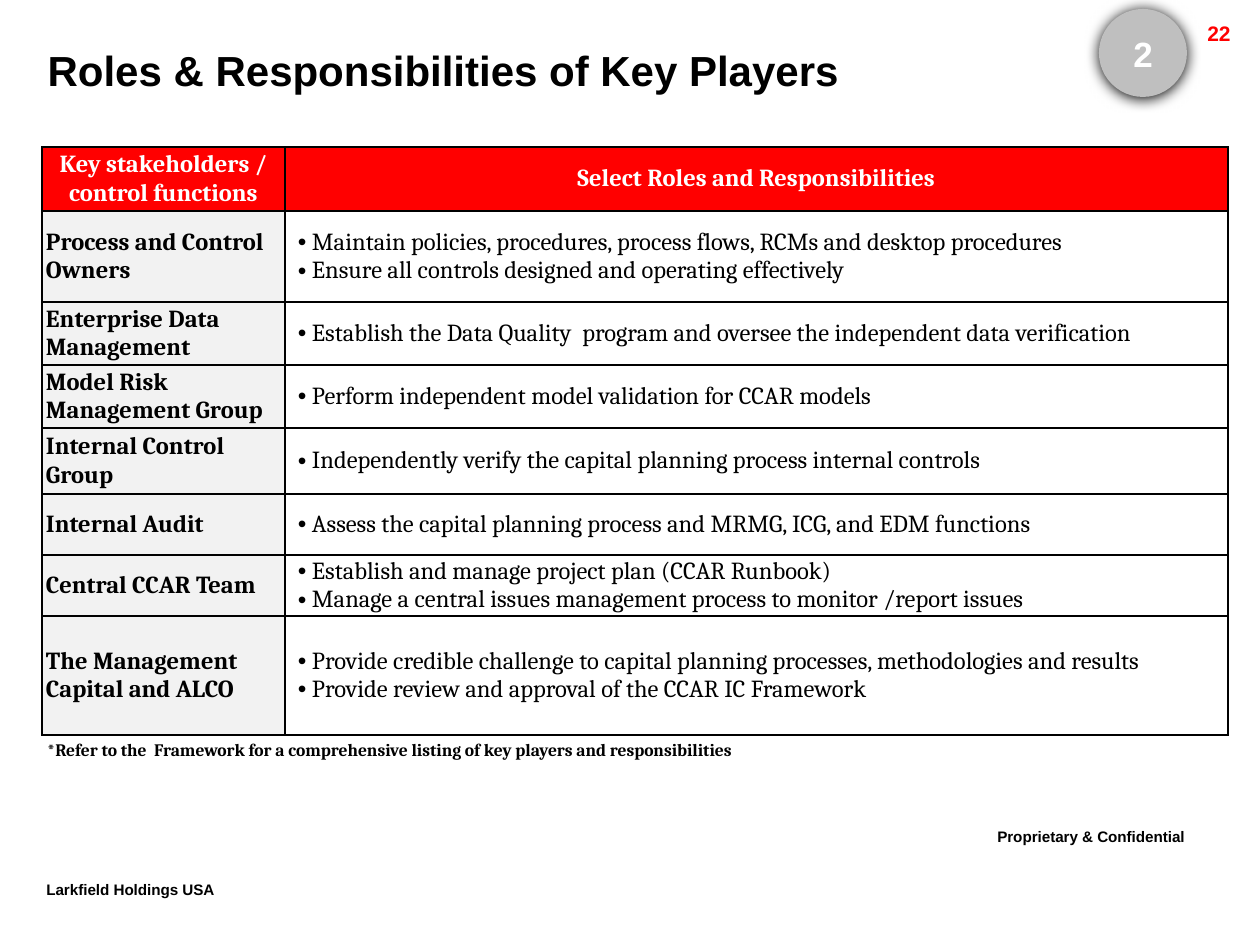
from lxml.etree import SubElement
from pptx import Presentation
from pptx.dml.color import RGBColor
from pptx.enum.shapes import MSO_SHAPE
from pptx.enum.text import MSO_ANCHOR, PP_ALIGN
from pptx.oxml.ns import qn
from pptx.util import Pt

EMU = 914400 / 126
BLACK, WHITE, RED = "000000", "FFFFFF", "FF0000"
COLS = [243, 943]
HEADER = ["Key stakeholders / control functions", "Select Roles and Responsibilities"]
ROLES = [
    (91, "Process and Control Owners",
     ["Maintain policies, procedures, process flows, RCMs and desktop procedures",
      "Ensure all controls designed and operating effectively"]),
    (63, "Enterprise Data Management",
     ["Establish the Data Quality  program and oversee the independent data verification"]),
    (63, "Model Risk Management Group",
     ["Perform independent model validation for CCAR models"]),
    (66, "Internal Control Group",
     ["Independently verify the capital planning process internal controls"]),
    (61, "Internal Audit",
     ["Assess the capital planning process and MRMG, ICG, and EDM functions"]),
    (61, "Central CCAR Team",
     ["Establish and manage project plan (CCAR Runbook)",
      "Manage a central issues management process to monitor /report issues"]),
    (119, "The Management Capital and ALCO",
     ["Provide credible challenge to capital planning processes, methodologies and results",
      "Provide review and approval of the CCAR IC Framework"]),
]


def px(n):
    return round(n * EMU)


def color(code):
    return RGBColor.from_string(code)


def bullet(para):
    props = para._p.get_or_add_pPr()
    props.set("marL", str(px(23)))
    props.set("indent", str(px(-14)))
    SubElement(props, qn("a:buFont"), typeface="Arial")
    SubElement(props, qn("a:buChar"), char="•")


def write(frame, lines, size=14, font="Arial", ink=BLACK, bold=True,
          align=PP_ALIGN.LEFT, bullets=False, raised=False):
    """Fill a text frame with one paragraph per line."""
    for i, line in enumerate(lines):
        para = frame.add_paragraph() if i else frame.paragraphs[0]
        para.alignment = align
        if bullets:
            bullet(para)
        run = para.add_run()
        run.text = line
        style = run.font
        style.size, style.name, style.bold = Pt(size), font, bold
        style.color.rgb = color(ink)
        if raised:
            run._r.get_or_add_rPr().set("baseline", "30000")


def label(slide, box, text, anchor=MSO_ANCHOR.TOP, wrap=True, **style):
    frame = slide.shapes.add_textbox(*map(px, box)).text_frame
    frame.word_wrap = wrap
    frame.vertical_anchor = anchor
    write(frame, [text], **style)


def title(slide, box, text):
    shape = slide.shapes.title
    shape.left, shape.top, shape.width, shape.height = map(px, box)
    shape.text_frame.vertical_anchor = MSO_ANCHOR.MIDDLE
    write(shape.text_frame, [text], size=24)


def badge(slide, box, text):
    """Draw a grey disc with a soft shadow and a number on it."""
    disc = slide.shapes.add_shape(MSO_SHAPE.OVAL, *map(px, box))
    disc.shadow.inherit = False
    disc.fill.solid()
    disc.fill.fore_color.rgb = color("BFBFBF")
    disc.line.fill.background()
    effects = disc._element.spPr.find(qn("a:effectLst"))
    shade = SubElement(effects, qn("a:outerShdw"), blurRad=str(Pt(8.5)),
                       dist=str(Pt(1)), dir="5400000", rotWithShape="0")
    SubElement(shade, qn("a:srgbClr"), val=BLACK)
    x, y, wide, high = box
    label(slide, (x + 20, y + 17, wide - 40, high - 34), text, size=20, ink=WHITE,
          anchor=MSO_ANCHOR.MIDDLE, align=PP_ALIGN.CENTER)


def border(cell):
    props = cell._tc.get_or_add_tcPr()
    for side in ("lnL", "lnR", "lnT", "lnB"):
        line = SubElement(props, qn(f"a:{side}"), w=str(Pt(1)))
        fill = SubElement(line, qn("a:solidFill"))
        SubElement(fill, qn("a:srgbClr"), val=BLACK)


def entry(cell, lines, back=None, **style):
    """Format one table cell; without a back colour it stays clear."""
    border(cell)
    cell.margin_left = cell.margin_right = px(4)
    cell.margin_top = cell.margin_bottom = px(1)
    cell.vertical_anchor = MSO_ANCHOR.MIDDLE
    if back:
        cell.fill.solid()
        cell.fill.fore_color.rgb = color(back)
    else:
        cell.fill.background()
    write(cell.text_frame, lines, font="Cambria", **style)


def roles(slide, left, top):
    highs = [64] + [high for high, _, _ in ROLES]
    frame = slide.shapes.add_table(len(highs), len(COLS), px(left), px(top),
                                   px(sum(COLS)), px(sum(highs)))
    table = frame.table
    for col, wide in zip(table.columns, COLS):
        col.width = px(wide)
    for row, high in zip(table.rows, highs):
        row.height = px(high)
    for c, text in enumerate(HEADER):
        entry(table.cell(0, c), [text], RED, ink=WHITE, align=PP_ALIGN.CENTER)
    for r, (_, owner, tasks) in enumerate(ROLES, 1):
        entry(table.cell(r, 0), [owner], "F2F2F2")
        entry(table.cell(r, 1), tasks, bold=False, bullets=True)


def main():
    deck = Presentation()
    deck.slide_width, deck.slide_height = px(1260), px(945)
    slide = deck.slides.add_slide(deck.slide_layouts[5])
    title(slide, (35, 38, 1067, 63), "Roles & Responsibilities of Key Players")
    label(slide, (985, 818, 275, 44), "Proprietary & Confidential", size=15, raised=True)
    label(slide, (34, 871, 241, 44), "Larkfield Holdings USA", size=15, raised=True,
          wrap=False)
    label(slide, (1123, 14, 120, 30), "22", size=12, ink=RED, align=PP_ALIGN.RIGHT)
    label(slide, (35, 731, 839, 38),
          "*Refer to the  Framework for a comprehensive listing of key players and "
          "responsibilities", size=10, font="Cambria", anchor=MSO_ANCHOR.MIDDLE)
    roles(slide, 42, 147)
    badge(slide, (1099, 9, 88, 88), "2")
    deck.save("out.pptx")


if __name__ == "__main__":
    main()
